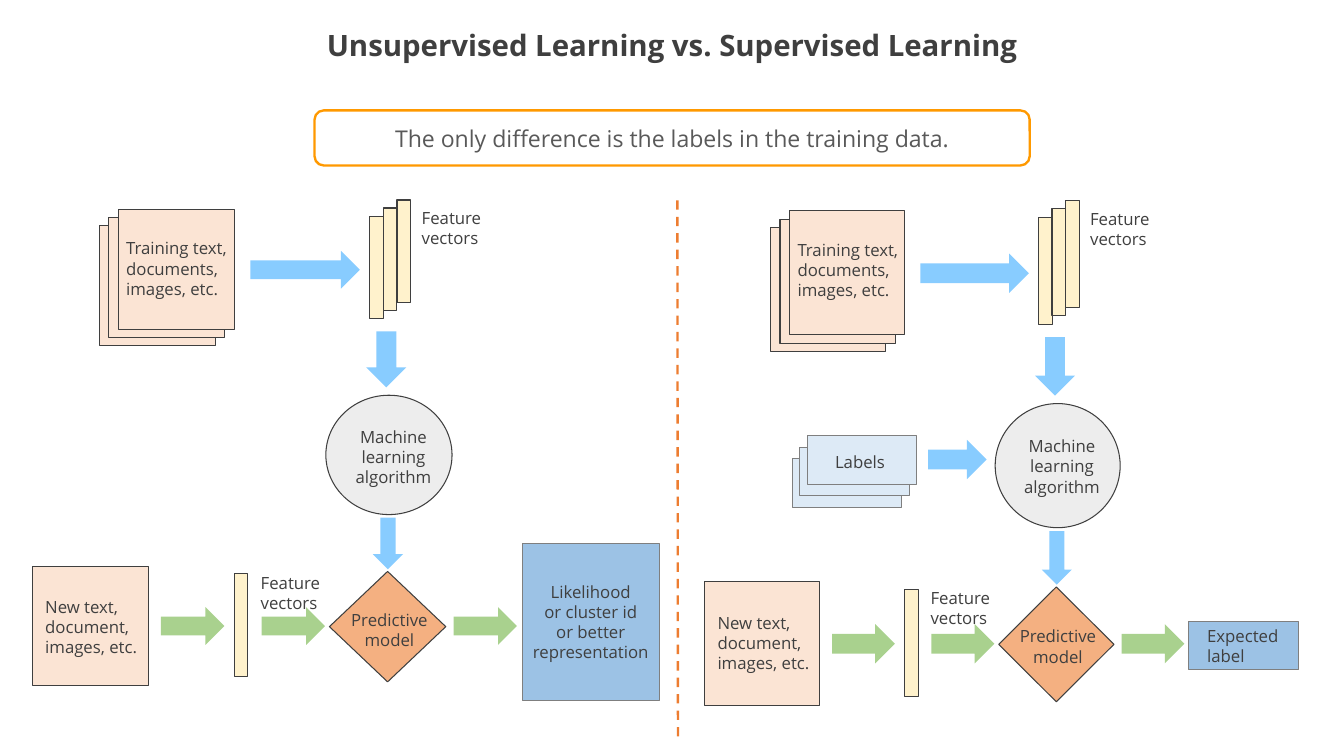
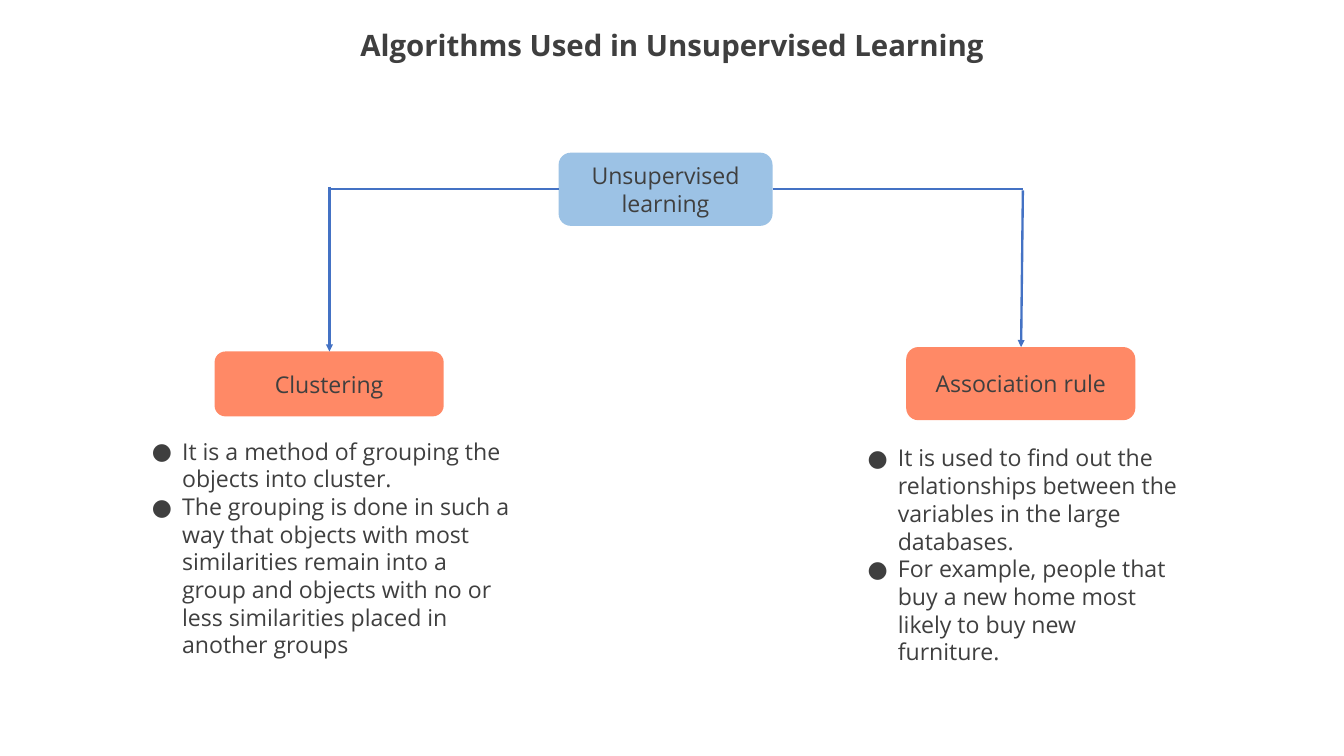
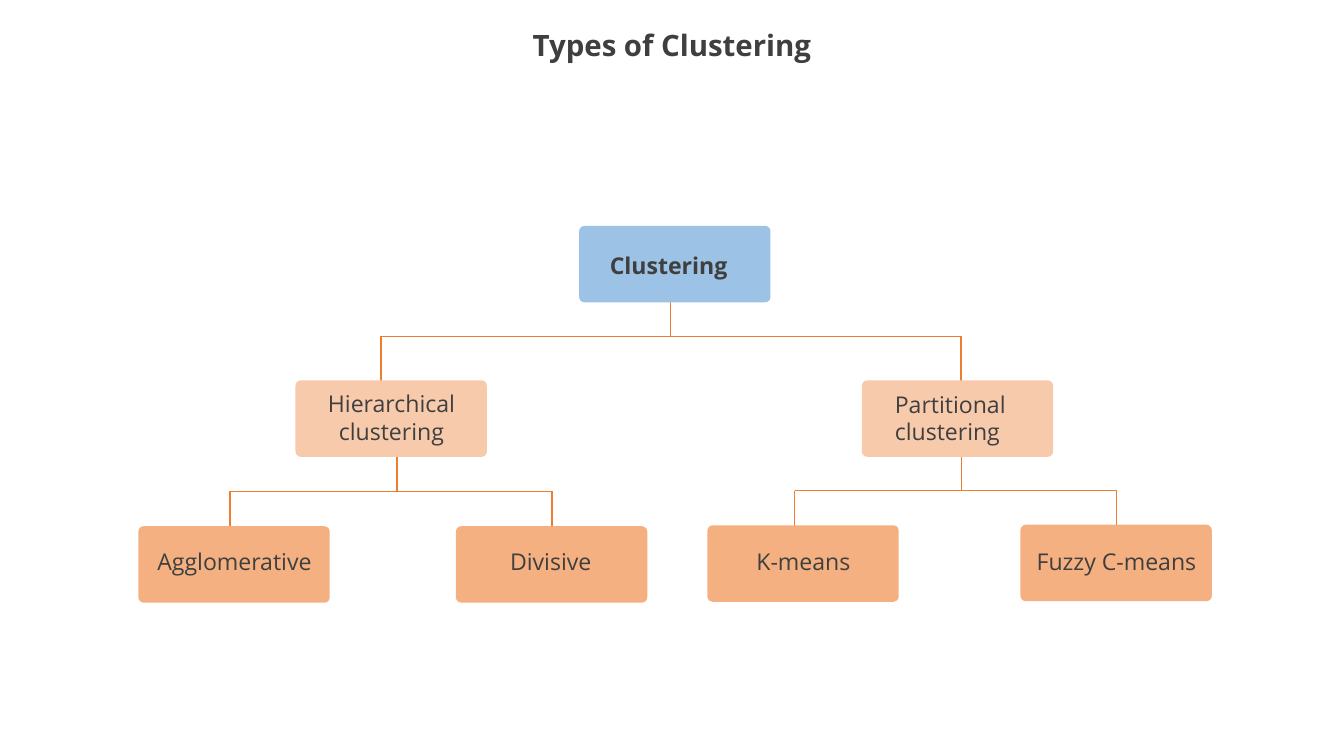
"""Build three slides on unsupervised learning and clustering."""
from dataclasses import dataclass
from typing import Any, NamedTuple

from lxml.etree import SubElement
from pptx import Presentation
from pptx.dml.color import RGBColor
from pptx.enum.dml import MSO_LINE_DASH_STYLE as Dash
from pptx.enum.shapes import MSO_CONNECTOR as Connector, MSO_SHAPE as Preset
from pptx.enum.text import MSO_ANCHOR as Anchor, MSO_AUTO_SIZE as AutoSize, PP_ALIGN as Align
from pptx.oxml.ns import qn
from pptx.util import Cm, Pt


@dataclass(frozen=True)
class Theme:
    font: str = "Open Sans"
    ink: str = "3F3F3F"
    muted: str = "595959"
    edge: str = "7F7F7F"
    document: str = "FBE4D4"
    vector: str = "FFF2CC"
    label: str = "DDEAF6"
    blue: str = "9CC2E5"
    algorithm: str = "EDEDED"
    training_flow: str = "88CCFF"
    prediction_flow: str = "A9D18E"
    model: str = "F4B081"
    category: str = "F7CAAC"
    coral: str = "FF8966"
    amber: str = "FF9900"
    orange: str = "ED7D31"
    branch: str = "4472C4"
    title_size: float = 28
    body_size: float = 22
    diagram_size: float = 16
    thin: float = 1
    medium: float = 1.5
    thick: float = 2.25


THEME = Theme()


class Frame(NamedTuple):
    left: float
    top: float
    width: float
    height: float


class TextStyle(NamedTuple):
    size: float = THEME.diagram_size
    color: str = THEME.ink
    bold: bool = False
    align: Any = Align.LEFT


class Placement(NamedTuple):
    """Scale and shift that put a diagram part on the slide."""
    scale_x: float = 1
    scale_y: float = 1
    shift_x: float = 0
    shift_y: float = 0

    def place(self, frame: Frame, turned: bool = False) -> Frame:
        scales = (self.scale_y, self.scale_x) if turned else (self.scale_x, self.scale_y)
        width, height = frame.width * scales[0], frame.height * scales[1]
        center_x = self.shift_x + self.scale_x * (frame.left + frame.width / 2)
        center_y = self.shift_y + self.scale_y * (frame.top + frame.height / 2)
        return Frame(center_x - width / 2, center_y - height / 2, width, height)


@dataclass(frozen=True)
class Part:
    """A block, or a stack of blocks, in a flow diagram."""
    frame: Frame
    fill: str
    preset: Any = Preset.RECTANGLE
    edge: str | None = THEME.ink
    turn: int = 0
    count: int = 1
    step_x: float = 0
    step_y: float = 0


@dataclass(frozen=True)
class Caption:
    text: str
    frame: Frame
    align: Any = Align.LEFT


@dataclass(frozen=True)
class Branch:
    heading: str
    frame: Frame
    root_edge: float
    elbow: tuple[float, float]
    tip: tuple[float, float]
    list_frame: Frame
    points: tuple[str, ...]


@dataclass(frozen=True)
class Bracket:
    left: float
    right: float
    bar: float
    stem: float


@dataclass(frozen=True)
class Node:
    text: str
    left: float
    top: float
    fill: str
    label: Frame
    align: Any = Align.CENTER
    bold: bool = False


def apply(target: Any, values: dict[str, Any]) -> None:
    for name, value in values.items():
        setattr(target, name, value)


def lengths(frame: Frame) -> tuple:
    return tuple(Cm(round(value, 2)) for value in frame)


def move(shape: Any, frame: Frame) -> None:
    apply(shape, dict(zip(Frame._fields, lengths(frame))))


def write(text_frame: Any, lines: list[str], style: TextStyle, inset: float = 0.13,
          anchor: Any = Anchor.TOP) -> None:
    apply(text_frame, {
        "word_wrap": True, "auto_size": AutoSize.NONE, "vertical_anchor": anchor,
        "margin_left": Cm(0.25), "margin_right": Cm(0.25),
        "margin_top": Cm(inset), "margin_bottom": Cm(inset),
    })
    for index, line in enumerate(lines):
        paragraph = text_frame.add_paragraph() if index else text_frame.paragraphs[0]
        apply(paragraph, {"alignment": style.align, "space_before": Pt(0)})
        run = paragraph.add_run()
        run.text = line
        apply(run.font, {"name": THEME.font, "size": Pt(style.size), "bold": style.bold})
        run.font.color.rgb = RGBColor.from_string(style.color)


def add_block(slide: Any, preset: Any, frame: Frame, fill: str | None = None,
              edge: str | None = None, weight: float = THEME.thin) -> Any:
    block = slide.shapes.add_shape(preset, *lengths(frame))
    block.shadow.inherit = False
    if fill:
        block.fill.solid()
        block.fill.fore_color.rgb = RGBColor.from_string(fill)
    else:
        block.fill.background()
    if edge:
        block.line.color.rgb = RGBColor.from_string(edge)
        block.line.width = Pt(weight)
    else:
        block.line.fill.background()
    return block


def add_line(slide: Any, start: tuple[float, float], end: tuple[float, float], color: str,
             weight: float, dashed: bool = False, arrow: bool = False) -> None:
    ends = [Cm(round(value, 2)) for value in (*start, *end)]
    connector = slide.shapes.add_connector(Connector.STRAIGHT, *ends)
    connector.line.color.rgb = RGBColor.from_string(color)
    connector.line.width = Pt(weight)
    if dashed:
        connector.line.dash_style = Dash.DASH
    properties = connector._element.spPr
    if arrow:
        SubElement(properties.find(qn("a:ln")), qn("a:tailEnd"), type="triangle")
    SubElement(properties, qn("a:effectLst"))


def add_caption(slide: Any, text: str, frame: Frame, style: TextStyle) -> None:
    caption = slide.shapes.add_textbox(*lengths(frame))
    write(caption.text_frame, text.split("\n"), style)


def add_titled_slide(deck: Any, layout: int, title: str) -> Any:
    slide = deck.slides.add_slide(deck.slide_layouts[layout])
    heading = slide.shapes.title
    move(heading, Frame(-0.03, 0.64, 45.21, 1.9))
    write(heading.text_frame, [title],
          TextStyle(THEME.title_size, bold=True, align=Align.CENTER), anchor=Anchor.MIDDLE)
    heading.text_frame.paragraphs[0].line_spacing = 0.9
    return slide


def fill_list(body: Any, frame: Frame, points: tuple[str, ...]) -> None:
    move(body, frame)
    write(body.text_frame, list(points), TextStyle(THEME.body_size), inset=0.25)
    for paragraph in body.text_frame.paragraphs:
        properties = paragraph._p.get_or_add_pPr()
        properties.set("marL", str(Cm(1.27)))
        properties.set("indent", str(Cm(-1.02)))
        SubElement(SubElement(properties, qn("a:buClr")), qn("a:srgbClr"), val=THEME.ink)
        SubElement(properties, qn("a:buFont"), typeface=THEME.font)
        SubElement(properties, qn("a:buChar"), char="●")


def flow(left: float, top: float, width: float, height: float, fill: str, turn: int = 0) -> Part:
    return Part(Frame(left, top, width, height), fill, Preset.RIGHT_ARROW, None, turn)


def prediction_arrow(left: float) -> Part:
    return flow(left, 20.4, 2.13, 1.27, THEME.prediction_flow)


LEARNING_FLOW = (
    Part(Frame(3.33, 7.59, 3.91, 4.01), THEME.document, count=3, step_x=0.32, step_y=-0.27),
    Caption("Training text,\ndocuments,\nimages, etc.", Frame(3.99, 7.87, 4.06, 2.21)),
    Part(Frame(12.42, 7.26, 0.46, 3.45), THEME.vector, count=3, step_x=0.46, step_y=-0.27),
    Caption("Feature\nvectors", Frame(13.92, 6.86, 2.57, 1.55)),
    flow(8.41, 8.43, 3.68, 1.27, THEME.training_flow),
    flow(12.04, 11.4, 1.88, 1.35, THEME.training_flow, 90),
    Part(Frame(10.95, 13.28, 4.24, 4.01), THEME.algorithm, Preset.OVAL),
    Caption("Machine\nlearning\nalgorithm", Frame(11.63, 14.2, 3.18, 2.21), Align.CENTER),
    flow(12.17, 17.75, 1.73, 1.02, THEME.training_flow, 90),
    Part(Frame(1.09, 19.02, 3.91, 4.01), THEME.document),
    Caption("New text,\ndocument,\nimages, etc.", Frame(1.27, 19.91, 3.76, 2.21)),
    prediction_arrow(5.41),
    Part(Frame(7.87, 19.28, 0.46, 3.45), THEME.vector),
    Caption("Feature\nvectors", Frame(8.51, 19.1, 2.57, 1.55)),
    prediction_arrow(8.79),
    Part(Frame(11.07, 19.2, 3.91, 3.71), THEME.model, Preset.DIAMOND),
    Caption("Predictive\nmodel", Frame(11.51, 20.35, 3.15, 1.55), Align.CENTER),
    prediction_arrow(15.24),
)
CLUSTER_OUTCOME = (
    Part(Frame(17.55, 18.26, 4.6, 5.28), THEME.blue, edge=THEME.edge),
    Caption("Likelihood\nor cluster id\nor better\nrepresentation",
            Frame(17.55, 19.41, 4.6, 2.95), Align.CENTER),
)
LABELS_AND_OUTCOME = (
    Part(Frame(26.62, 15.42, 3.68, 1.63), THEME.label, edge=THEME.edge,
         count=3, step_x=0.25, step_y=-0.39),
    Caption("Labels", Frame(27.81, 15.04, 2.21, 0.94)),
    flow(31.19, 14.78, 1.96, 1.32, THEME.training_flow),
    Part(Frame(39.95, 20.88, 3.68, 1.63), THEME.blue, edge=THEME.edge),
    Caption("Expected\nlabel", Frame(40.31, 20.9, 2.95, 1.63)),
)
UNSUPERVISED_SIDE = Placement()
SUPERVISED_SIDE = Placement(0.99, 1.04, 22.6, -0.25)

BRANCHES = (
    Branch("Clustering", Frame(7.21, 11.81, 7.7, 2.18), 18.77, (11.07, 6.27), (11.07, 11.81),
           Frame(4.6, 14.43, 12.93, 5.33),
           ("It is a method of grouping the objects into cluster.",
            "The grouping is done in such a way that objects with most similarities remain into "
            "a group and objects with no or less similarities placed in another groups")),
    Branch("Association rule", Frame(30.45, 11.66, 7.7, 2.46), 25.96, (34.37, 6.4), (34.31, 11.66),
           Frame(28.65, 14.66, 11.33, 5.33),
           ("It is used to find out the relationships between the variables in the large databases.",
            "For example, people that buy a new home most likely to buy new furniture.")),
)

BRACKETS = (
    Bracket(12.8, 32.3, 11.3, 22.53),
    Bracket(7.72, 18.54, 16.51, 13.34),
    Bracket(26.7, 37.52, 16.48, 32.31),
)
NODES = (
    Node("Divisive", 15.32, 17.68, THEME.model, Frame(16.74, 18.26, 3.53, 1.27)),
    Node("Agglomerative", 4.65, 17.68, THEME.model, Frame(4.45, 18.26, 6.86, 1.27)),
    Node("Hierarchical\nclustering", 9.93, 12.78, THEME.category, Frame(10.36, 12.95, 5.59, 1.9)),
    Node("Partitional\nclustering", 28.96, 12.78, THEME.category,
         Frame(29.82, 12.98, 4.62, 2.31), Align.LEFT),
    Node("Fuzzy C-means", 34.29, 17.63, THEME.model, Frame(34.29, 18.26, 6.45, 1.27)),
    Node("K-means", 23.77, 17.65, THEME.model, Frame(24.99, 18.26, 4.01, 1.27)),
    Node("Clustering", 19.46, 7.59, THEME.blue, Frame(20.24, 8.31, 5.03, 1.07), Align.LEFT, True),
)


def draw_flow(slide: Any, items: tuple, side: Placement) -> None:
    for item in items:
        if isinstance(item, Caption):
            add_caption(slide, item.text, side.place(item.frame), TextStyle(align=item.align))
            continue
        for index in range(item.count):
            frame = item.frame._replace(left=item.frame.left + index * item.step_x,
                                        top=item.frame.top + index * item.step_y)
            block = add_block(slide, item.preset, side.place(frame, bool(item.turn)),
                              item.fill, item.edge)
            block.rotation = item.turn


def build_comparison(deck: Any) -> None:
    slide = add_titled_slide(deck, 5, "Unsupervised Learning vs. Supervised Learning")
    draw_flow(slide, LEARNING_FLOW + CLUSTER_OUTCOME, UNSUPERVISED_SIDE)
    draw_flow(slide, LEARNING_FLOW, SUPERVISED_SIDE)
    draw_flow(slide, LABELS_AND_OUTCOME, Placement())
    callout = add_block(slide, Preset.ROUNDED_RECTANGLE, Frame(10.57, 3.71, 24.03, 1.85),
                        edge=THEME.amber, weight=THEME.thick)
    write(callout.text_frame, ["The only difference is the labels in the training data."],
          TextStyle(THEME.body_size, THEME.muted, align=Align.CENTER), anchor=Anchor.MIDDLE)
    add_line(slide, (22.76, 6.73), (22.78, 24.82), THEME.orange, THEME.thick, dashed=True)


def add_heading_box(slide: Any, text: str, frame: Frame, fill: str) -> None:
    box = add_block(slide, Preset.ROUNDED_RECTANGLE, frame, fill)
    write(box.text_frame, [text], TextStyle(THEME.body_size, align=Align.CENTER),
          inset=0.25, anchor=Anchor.MIDDLE)


def build_algorithms(deck: Any) -> None:
    slide = add_titled_slide(deck, 3, "Algorithms Used in Unsupervised Learning")
    root = Frame(18.77, 5.13, 7.19, 2.46)
    add_heading_box(slide, "Unsupervised learning", root, THEME.blue)
    bar = root.top + root.height / 2
    bodies = [holder for holder in slide.placeholders if holder.placeholder_format.idx]
    for branch, body in zip(BRANCHES, bodies):
        add_heading_box(slide, branch.heading, branch.frame, THEME.coral)
        add_line(slide, (branch.root_edge, bar), (branch.elbow[0], bar),
                 THEME.branch, THEME.thick)
        add_line(slide, branch.elbow, branch.tip, THEME.branch, THEME.thick, arrow=True)
        fill_list(body, branch.list_frame, branch.points)


def build_types(deck: Any) -> None:
    slide = add_titled_slide(deck, 5, "Types of Clustering")
    reach = 1.52
    for bracket in BRACKETS:
        bar = bracket.bar
        for start, end in (
            ((bracket.left, bar), (bracket.right, bar)),
            ((bracket.left, bar), (bracket.left, bar + reach)),
            ((bracket.right, bar), (bracket.right, bar + reach)),
            ((bracket.stem, bar - reach), (bracket.stem, bar)),
        ):
            add_line(slide, start, end, THEME.orange, THEME.medium)
    for node in NODES:
        box = add_block(slide, Preset.ROUNDED_RECTANGLE,
                        Frame(node.left, node.top, 6.43, 2.57), node.fill)
        box.adjustments[0] = 0.07
        add_caption(slide, node.text, node.label,
                    TextStyle(THEME.body_size, bold=node.bold, align=node.align))


def main() -> None:
    deck = Presentation()
    apply(deck, {"slide_width": Cm(45.16), "slide_height": Cm(25.4)})
    for build in (build_comparison, build_algorithms, build_types):
        build(deck)
    deck.save("out.pptx")


if __name__ == "__main__":
    main()
